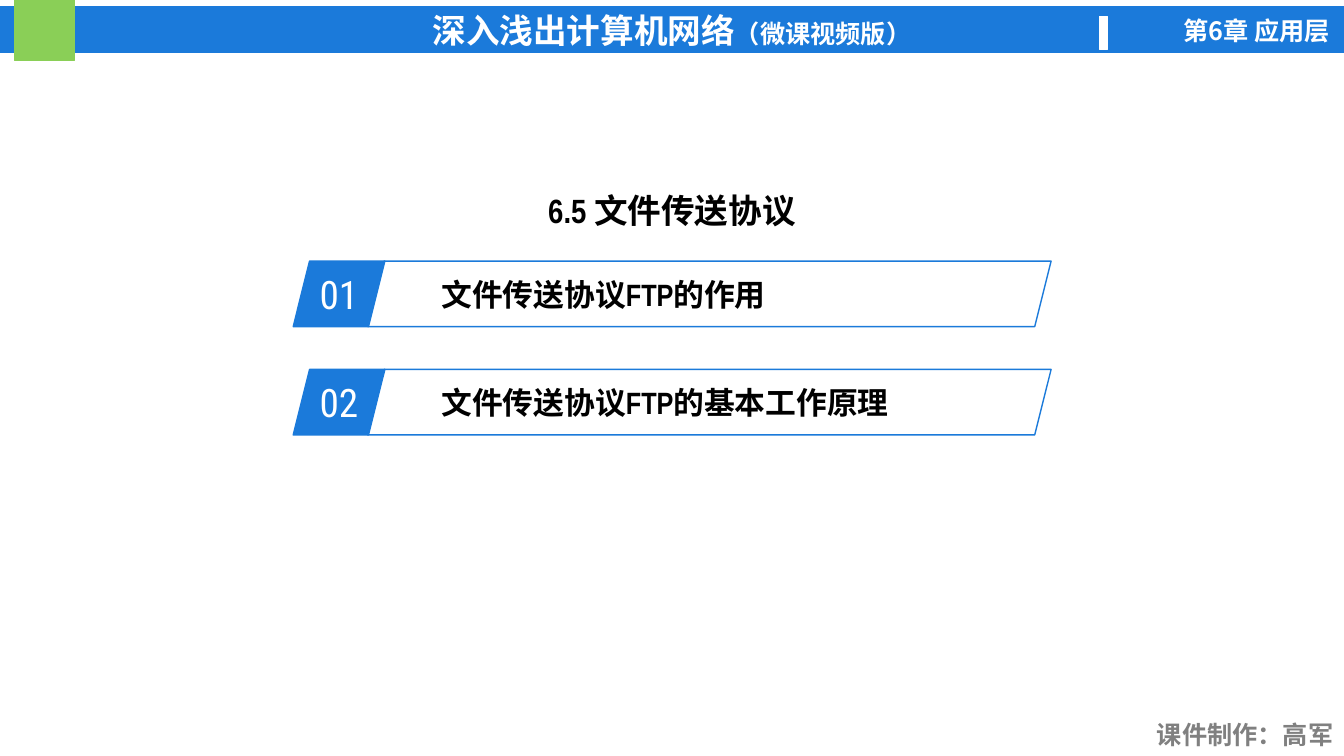
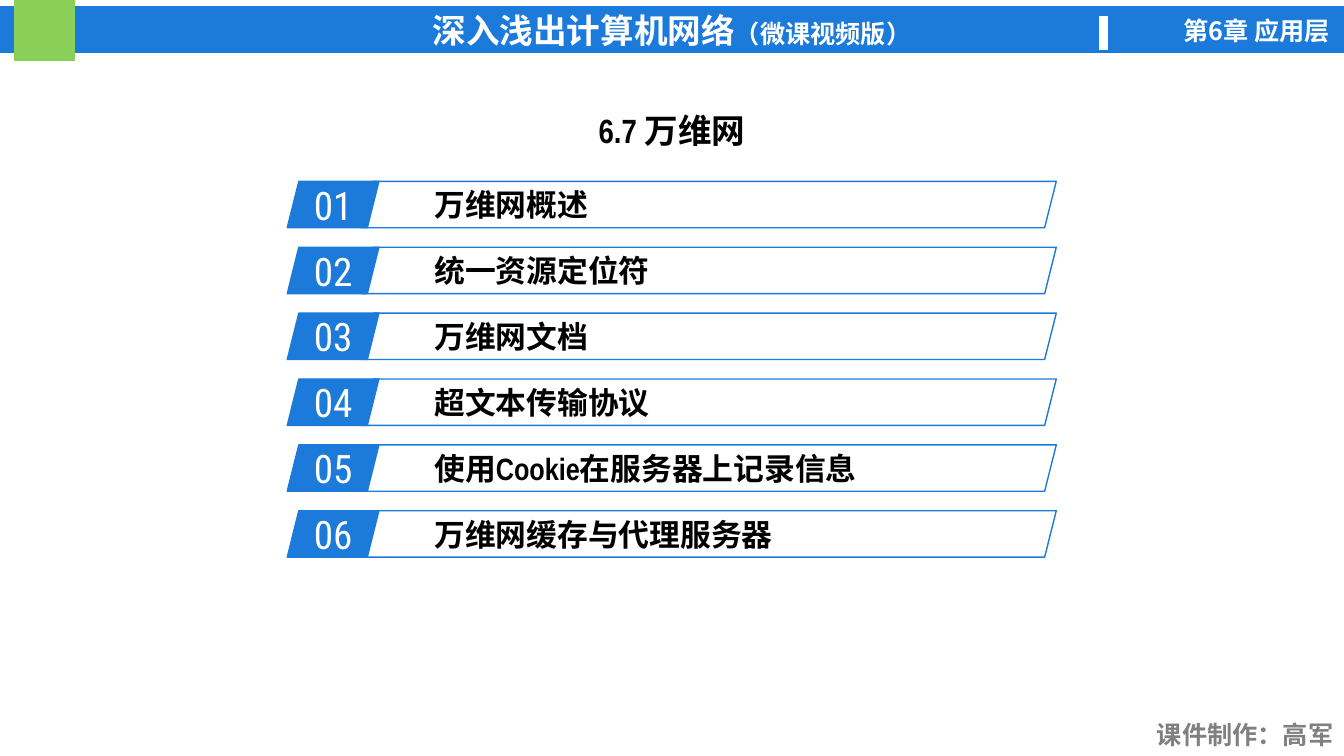
from dataclasses import dataclass

from lxml import etree
from pptx import Presentation
from pptx.dml.color import RGBColor
from pptx.enum.shapes import MSO_SHAPE
from pptx.enum.text import MSO_ANCHOR, PP_ALIGN
from pptx.oxml.ns import qn
from pptx.util import Cm, Pt

RECT, SLANTED = MSO_SHAPE.RECTANGLE, MSO_SHAPE.PARALLELOGRAM
TOP, MIDDLE = MSO_ANCHOR.TOP, MSO_ANCHOR.MIDDLE
LEFT, CENTER, RIGHT = PP_ALIGN.LEFT, PP_ALIGN.CENTER, PP_ALIGN.RIGHT

BLUE, GREEN, WHITE, BLACK, GRAY = "1B7ADA", "8ACF57", "FFFFFF", "000000", "808080"
NARROW, CJK, CONDENSED = "Arial Narrow", "Noto Sans CJK SC", "Roboto Condensed"

SLIDE_W, SLIDE_H = 33.87, 19.05
TITLE_W, TITLE_H = 12.47, 1.17
NUMBER_W = 2.31
LABEL_OFFSET = 1.88


@dataclass(frozen=True)
class Box:
    """A rectangle in centimetres."""
    left: float
    top: float
    width: float
    height: float

    def lengths(self) -> tuple[Cm, Cm, Cm, Cm]:
        return Cm(self.left), Cm(self.top), Cm(self.width), Cm(self.height)


@dataclass(frozen=True)
class Style:
    size: int
    color: str
    align: PP_ALIGN
    font: str = NARROW
    bold: bool = True


@dataclass(frozen=True)
class Agenda:
    """A section title and its numbered topics, with the place of the rows."""
    title: str
    title_top: float
    left: float
    top: float
    row_h: float
    pitch: float
    label_w: float
    topics: tuple[str, ...]


BOOK = Style(24, WHITE, CENTER)
CHAPTER = Style(18, WHITE, RIGHT, CJK)
AUTHOR = Style(18, GRAY, RIGHT)
TITLE = Style(24, BLACK, CENTER)
NUMBER = Style(28, WHITE, CENTER, CONDENSED, False)
TOPIC = Style(22, BLACK, LEFT)

AGENDAS = (
    Agenda("6.5 文件传送协议", 4.7, 7.39, 6.58, 1.65, 2.73, 17.22,
           ("文件传送协议FTP的作用", "文件传送协议FTP的基本工作原理")),
    Agenda("6.7 万维网", 2.69, 7.24, 4.57, 1.17, 1.66, 17.5,
           ("万维网概述", "统一资源定位符", "万维网文档", "超文本传输协议",
            "使用Cookie在服务器上记录信息", "万维网缓存与代理服务器")),
)


def rgb(color: str) -> RGBColor:
    return RGBColor.from_string(color)


def write(sp, text: str, style: Style, anchor: MSO_ANCHOR = MIDDLE):
    """Put one styled paragraph in a shape and return the paragraph."""
    tf = sp.text_frame
    tf.word_wrap = True
    tf.vertical_anchor = anchor
    p = tf.paragraphs[0]
    p.alignment = style.align
    p.add_run().text = text
    p.font.size = Pt(style.size)
    p.font.bold = style.bold
    p.font.color.rgb = rgb(style.color)
    p.font.name = style.font
    # East Asian characters take their own typeface
    defaults = p._p.get_or_add_pPr().find(qn("a:defRPr"))
    etree.SubElement(defaults, qn("a:ea"), typeface=CJK)
    return p


def add_panel(slide, kind: MSO_SHAPE, box: Box, line: str, filled: bool = True):
    sp = slide.shapes.add_shape(kind, *box.lengths())
    sp.shadow.inherit = False
    if filled:
        sp.fill.solid()
        sp.fill.fore_color.rgb = rgb(line)
    else:
        sp.fill.background()
    sp.line.color.rgb = rgb(line)
    sp.line.width = Pt(1)
    return sp


def add_text(slide, box: Box, text: str, style: Style, anchor: MSO_ANCHOR = TOP) -> None:
    write(slide.shapes.add_textbox(*box.lengths()), text, style, anchor)


def add_frame(slide) -> None:
    """Draw the header band and the footer shared by all slides."""
    band = add_panel(slide, RECT, Box(0, 0.18, SLIDE_W, 1.14), BLUE)
    r = write(band, "深入浅出计算机网络", BOOK).add_run()
    r.text = "（微课视频版）"
    r.font.size = Pt(18)
    add_panel(slide, RECT, Box(0.36, 0, 1.52, 1.52), GREEN)
    add_panel(slide, RECT, Box(27.71, 0.41, 0.2, 0.84), WHITE)
    add_text(slide, Box(28.22, 0.25, 5.54, 1.02), "第6章 应用层", CHAPTER)
    add_text(slide, Box(28.8, 18.01, 5.05, 1.02), "课件制作：高军", AUTHOR)


def add_agenda(slide, agenda: Agenda) -> None:
    title_box = Box((SLIDE_W - TITLE_W) / 2, agenda.title_top, TITLE_W, TITLE_H)
    add_text(slide, title_box, agenda.title, TITLE, MIDDLE)
    for i, topic in enumerate(agenda.topics):
        top = agenda.top + i * agenda.pitch
        number_box = Box(agenda.left, top, NUMBER_W, agenda.row_h)
        label_box = Box(agenda.left + LABEL_OFFSET, top, agenda.label_w, agenda.row_h)
        write(add_panel(slide, SLANTED, number_box, BLUE), f"{i + 1:02}", NUMBER)
        write(add_panel(slide, SLANTED, label_box, BLUE, filled=False), topic, TOPIC)


def main() -> None:
    prs = Presentation()
    prs.slide_width, prs.slide_height = Cm(SLIDE_W), Cm(SLIDE_H)
    blank = prs.slide_layouts[6]
    for agenda in AGENDAS:
        slide = prs.slides.add_slide(blank)
        add_frame(slide)
        add_agenda(slide, agenda)
    prs.save("out.pptx")


if __name__ == "__main__":
    main()
